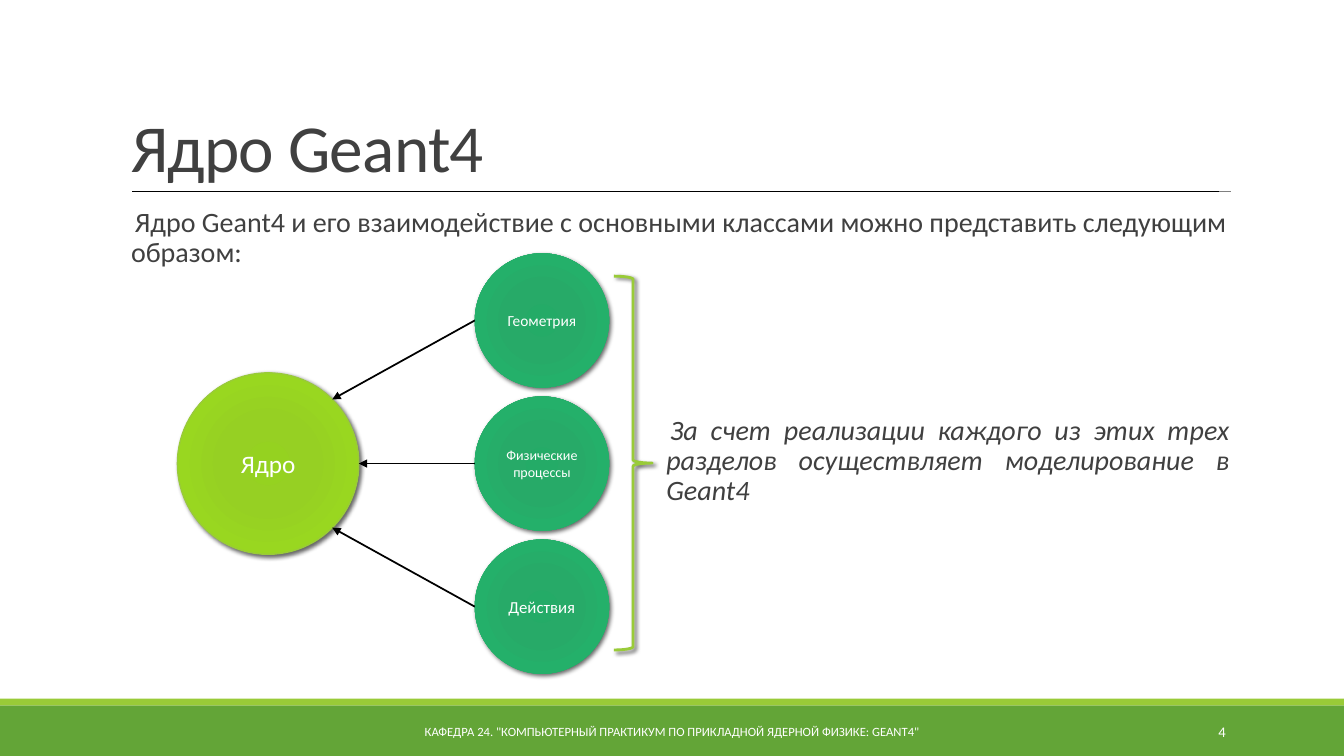
from math import cos, pi
from lxml.etree import SubElement
from pptx import Presentation
from pptx.dml.color import RGBColor
from pptx.enum.shapes import MSO_CONNECTOR, MSO_SHAPE
from pptx.enum.text import MSO_ANCHOR, PP_ALIGN
from pptx.oxml.ns import qn
from pptx.util import Inches, Pt

WHITE = RGBColor(0xFF, 0xFF, 0xFF)
BLACK = RGBColor(0x00, 0x00, 0x00)
GREY = RGBColor(0x80, 0x80, 0x80)
INK = RGBColor(0x40, 0x40, 0x40)
LIME = RGBColor(0x99, 0xCB, 0x38)
GREEN = RGBColor(0x63, 0xA5, 0x37)
CORE_STOPS = [(0, RGBColor(0x95, 0xD2, 0x20)), (34, RGBColor(0x96, 0xD0, 0x23)),
              (70, RGBColor(0x99, 0xD7, 0x20)), (100, RGBColor(0x9B, 0xD2, 0x31))]
CLASS_STOPS = [(0, RGBColor(0x24, 0xAB, 0x67)), (34, RGBColor(0x27, 0xAA, 0x68)),
               (70, RGBColor(0x24, 0xB0, 0x6A)), (100, RGBColor(0x31, 0xAD, 0x6F))]

deck = Presentation()
deck.slide_width, deck.slide_height = Inches(13.33), Inches(7.5)
cell = deck.slide_width / 40
slide = deck.slides.add_slide(deck.slide_layouts[5])
shapes = slide.shapes


def grid(*counts):
    return [round(count * cell) for count in counts]


def write(frame, text, size, color, align):
    frame.word_wrap = True
    paragraph = frame.paragraphs[0]
    paragraph.alignment = align
    run = paragraph.add_run()
    run.text = text
    run.font.size = Pt(size)
    run.font.name = "Calibri"
    run.font.color.rgb = color
    return paragraph, run


for top, height, color in [(21, 1.5, GREEN), (20.8, 0.2, LIME)]:
    band = shapes.add_shape(MSO_SHAPE.RECTANGLE, *grid(0, top, 40, height))
    band.shadow.inherit = False
    band.fill.solid()
    band.fill.fore_color.rgb = color
    band.line.fill.background()

title = shapes.title
title.left, title.top, title.width, title.height = grid(3.6, 0.93, 33, 4.77)
title.text_frame.vertical_anchor = MSO_ANCHOR.BOTTOM
heading, heading_run = write(title.text_frame, "Ядро Geant4", 48, INK, PP_ALIGN.LEFT)
heading.line_spacing = 0.85
heading_run.font._element.set("spc", "-50")

statements = [
    ("Ядро Geant4 и его взаимодействие с основными классами можно представить следующим образом:",
     (3.6, 6.06, 33, 2.19), PP_ALIGN.LEFT, False),
    ("За счет реализации каждого из этих трех разделов осуществляет моделирование в Geant4",
     (19.53, 12.24, 17.07, 3.81), PP_ALIGN.JUSTIFY, True),
]
for text, place, align, italic in statements:
    frame = shapes.add_textbox(*grid(*place)).text_frame
    frame.margin_left = frame.margin_right = 0
    paragraph, run = write(frame, text, 20, INK, align)
    run.font.italic = italic
    paragraph.line_spacing = 0.9
    paragraph.space_before, paragraph.space_after = Pt(12), Pt(2)
    properties = paragraph._p.get_or_add_pPr()
    properties.set("marL", str(Inches(0.1)))
    properties.set("indent", str(-Inches(0.1)))
    bullet_color = SubElement(properties, qn("a:buClr"))
    SubElement(bullet_color, qn("a:srgbClr"), val=str(LIME))
    SubElement(properties, qn("a:buChar"), char=" ")

footers = [
    ('КАФЕДРА 24. "КОМПЬЮТЕРНЫЙ ПРАКТИКУМ ПО ПРИКЛАДНОЙ ЯДЕРНОЙ ФИЗИКЕ: GEANT4"',
     (12.09, 21.18, 15.81, 1.2), 9, PP_ALIGN.CENTER),
    ("4", (32.49, 21.18, 4.29, 1.2), 10.5, PP_ALIGN.RIGHT),
]
for text, place, size, align in footers:
    frame = shapes.add_textbox(*grid(*place)).text_frame
    frame.vertical_anchor = MSO_ANCHOR.MIDDLE
    write(frame, text, size, WHITE, align)

middle, step = 13.8, 4.26
core_x, core_radius = 7.98, 2.7
class_left, class_radius = 14.13, 2
diagonal = core_radius * cos(pi / 4)
class_x = class_left + class_radius
circles = [
    ("Ядро", core_x, middle, core_radius, 18, CORE_STOPS),
    ("Геометрия", class_x, middle - step, class_radius, 11, CLASS_STOPS),
    ("Физические процессы", class_x, middle, class_radius, 10, CLASS_STOPS),
    ("Действия", class_x, middle + step, class_radius, 12, CLASS_STOPS),
]
shadowed = []
for text, x, y, radius, size, stops in circles:
    circle = shapes.add_shape(MSO_SHAPE.OVAL, *grid(x - radius, y - radius, 2 * radius, 2 * radius))
    circle.fill.gradient()
    gradient = circle._element.spPr.find(qn("a:gradFill"))
    gradient.clear()
    stop_list = SubElement(gradient, qn("a:gsLst"))
    for share, color in stops:
        stop = SubElement(stop_list, qn("a:gs"), pos=str(share * 1000))
        SubElement(stop, qn("a:srgbClr"), val=str(color))
    radial = SubElement(gradient, qn("a:path"), path="circle")
    SubElement(radial, qn("a:fillToRect"), dict.fromkeys("ltrb", "100000"))
    if stops is CORE_STOPS:
        circle.line.color.rgb = LIME
        circle.line.width = Pt(1)
    else:
        circle.line.fill.background()
    circle.text_frame.vertical_anchor = MSO_ANCHOR.MIDDLE
    write(circle.text_frame, text, size, WHITE, PP_ALIGN.CENTER)
    shadowed.append((circle, 3 if stops is CORE_STOPS else 3.5))

brace = shapes.add_shape(MSO_SHAPE.RIGHT_BRACE, *grid(18.27, 8.22, 1.14, 11.13))
brace.fill.background()
brace.line.color.rgb = LIME
brace.line.width = Pt(2)
shadowed.append((brace, 3))

for shape, blur in shadowed:
    shape.shadow.inherit = False
    effects = shape._element.spPr.find(qn("a:effectLst"))
    shadow = SubElement(effects, qn("a:outerShdw"), blurRad=str(Pt(blur)), dist=str(Pt(2)),
                        dir="2700000", algn="br", rotWithShape="0")
    shade = SubElement(shadow, qn("a:srgbClr"), val=str(BLACK))
    SubElement(shade, qn("a:alpha"), val="60000")

lines = [
    ((3.93, 5.7), (36.63, 5.7), GREY, 0.5, False),
    ((3.93, 5.7), (36.27, 5.7), BLACK, 1, False),
    ((class_left, middle - step), (core_x + diagonal, middle - diagonal), BLACK, 1.25, True),
    ((class_left, middle), (core_x + core_radius, middle), BLACK, 1.25, True),
    ((class_left, middle + step), (core_x + diagonal, middle + diagonal), BLACK, 1.25, True),
]
for start, end, color, width, pointed in lines:
    link = shapes.add_connector(MSO_CONNECTOR.STRAIGHT, *grid(*start, *end))
    link.line.color.rgb = color
    link.line.width = Pt(width)
    if pointed:
        SubElement(link.line._get_or_add_ln(), qn("a:tailEnd"), type="triangle")
    SubElement(link._element.spPr, qn("a:effectLst"))

deck.save("out.pptx")
